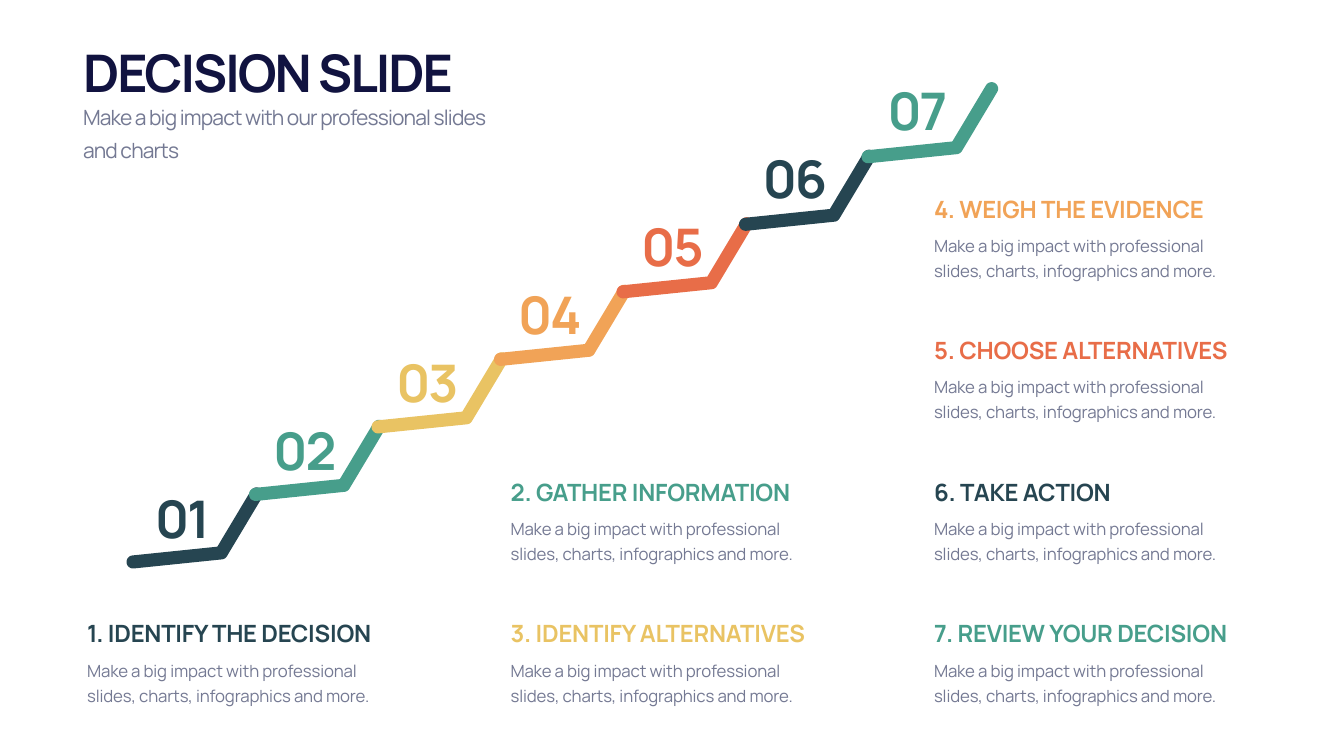
from dataclasses import dataclass
from math import atan2, cos, pi, sin
from typing import NamedTuple

from pptx import Presentation
from pptx.dml.color import RGBColor
from pptx.enum.text import MSO_ANCHOR as Anchor, MSO_AUTO_SIZE as AutoSize, PP_ALIGN as Align
from pptx.slide import Slide
from pptx.util import Inches, Pt

COLORS = {
    "title": "111340", "body": "747993", "navy": "264551", "green": "479E8B",
    "yellow": "E9C363", "orange": "F1A357", "red": "E86D48",
}
FONT = "Manrope"
BLURB = "Make a big impact with professional slides, charts, infographics and more."


class Point(NamedTuple):
    x: float
    y: float


@dataclass(frozen=True)
class Grid:
    left: float
    top: float
    column_pitch: float
    row_pitch: float

    def cell(self, column: int, row: int) -> Point:
        return Point(self.left + column * self.column_pitch, self.top + row * self.row_pitch)


@dataclass(frozen=True)
class Step:
    heading: str
    color: str
    column: int
    row: int


CARDS = Grid(1.63, 3.8, 8.4, 2.81)
STAIRS = Grid(2.5, 9.66, 2.43, -1.34)
NUMBERS = Grid(2.79, 9.6, 2.43, -1.35)
TREAD = (Point(0.14, 1.49), Point(1.89, 1.31), Point(2.59, 0.14))
HALF_WIDTH = 0.13

STEPS = (
    Step("IDENTIFY THE DECISION", "navy", 0, 3),
    Step("GATHER INFORMATION", "green", 1, 2),
    Step("IDENTIFY ALTERNATIVES", "yellow", 1, 3),
    Step("WEIGH THE EVIDENCE", "orange", 2, 0),
    Step("CHOOSE ALTERNATIVES", "red", 2, 1),
    Step("TAKE ACTION", "navy", 2, 2),
    Step("REVIEW YOUR DECISION", "green", 2, 3),
)


def add_text(page: Slide, text: str, *, at: Point, width: float, height: float, size: float,
             color: str, bold: bool = False, tracking: float = 0, leading: float | None = None,
             anchor: Anchor = Anchor.TOP, align: Align = Align.LEFT) -> None:
    """Place one formatted paragraph in a wrapping text box."""
    box = page.shapes.add_textbox(Inches(at.x), Inches(at.y), Inches(width), Inches(height))
    frame = box.text_frame
    frame.word_wrap = True
    frame.auto_size = AutoSize.SHAPE_TO_FIT_TEXT
    frame.vertical_anchor = anchor
    para = frame.paragraphs[0]
    para.alignment = align
    if leading:
        para.line_spacing = Pt(leading)
    span = para.add_run()
    span.text = text
    span.font.name = FONT
    span.font.size = Pt(size)
    span.font.bold = bold
    span.font.color.rgb = RGBColor.from_string(COLORS[color])
    span._r.get_or_add_rPr().set("spc", str(round(tracking * 100)))


def arc(center: Point, start: float, end: float, parts: int = 12) -> list[Point]:
    """Sample an arc of the tread's half width around a point."""
    angles = (start + (end - start) * part / parts for part in range(parts + 1))
    return [Point(center.x + HALF_WIDTH * cos(angle), center.y + HALF_WIDTH * sin(angle))
            for angle in angles]


def tread_outline() -> list[Point]:
    """Outline the bent tread with round ends and a round outer corner."""
    foot, bend, tip = TREAD
    run = atan2(bend.y - foot.y, bend.x - foot.x)
    rise = atan2(tip.y - bend.y, tip.x - bend.x)
    quarter = pi / 2
    inward = (run + rise) / 2 - quarter
    reach = HALF_WIDTH / cos((run - rise) / 2)
    inner = Point(bend.x + reach * cos(inward), bend.y + reach * sin(inward))
    return [*arc(foot, run + 3 * quarter, run + quarter),
            *arc(bend, run + quarter, rise + quarter),
            *arc(tip, rise + quarter, rise - quarter), inner]


def add_tread(page: Slide, origin: Point, color: str) -> None:
    """Draw one filled tread of the staircase."""
    points = [(Inches(origin.x + point.x), Inches(origin.y + point.y)) for point in tread_outline()]
    builder = page.shapes.build_freeform(*points[0])
    builder.add_line_segments(points[1:], close=True)
    tread = builder.convert_to_shape()
    tread.shadow.inherit = False
    tread.fill.solid()
    tread.fill.fore_color.rgb = RGBColor.from_string(COLORS[color])
    tread.line.fill.background()


def add_card(page: Slide, number: int, step: Step) -> None:
    """Write a step's heading and blurb in its grid cell."""
    corner = CARDS.cell(step.column, step.row)
    add_text(page, f"{number}. {step.heading}", at=corner, width=6.47, height=0.67, size=34,
             color=step.color, bold=True, tracking=-0.3, anchor=Anchor.BOTTOM)
    add_text(page, BLURB, at=Point(corner.x, corner.y + 0.72), width=6.47, height=1.09, size=24,
             color="body", tracking=-0.2, leading=36)


def main() -> None:
    """Build the decision slide and save it."""
    deck = Presentation()
    deck.slide_width, deck.slide_height = Inches(26.66), Inches(15)
    page = deck.slides.add_slide(deck.slide_layouts[6])

    for index, step in enumerate(STEPS):
        add_tread(page, STAIRS.cell(index, index), step.color)
    add_text(page, "DECISION SLIDE", at=Point(1.55, 0.74), width=8.25, height=1.35, size=74,
             color="title", bold=True, tracking=-2.9, anchor=Anchor.BOTTOM)
    add_text(page, "Make a big impact with our professional slides and charts",
             at=Point(1.55, 1.87), width=8.25, height=1.38, size=30, color="body",
             tracking=-1.2, leading=47)
    for number, step in enumerate(STEPS, start=1):
        add_card(page, number, step)
    for index, step in enumerate(STEPS):
        add_text(page, f"{index + 1:02}", at=NUMBERS.cell(index, index), width=1.66, height=1.35,
                 size=74, color=step.color, bold=True, tracking=-2.9, anchor=Anchor.MIDDLE,
                 align=Align.CENTER)
    deck.save("out.pptx")


if __name__ == "__main__":
    main()
